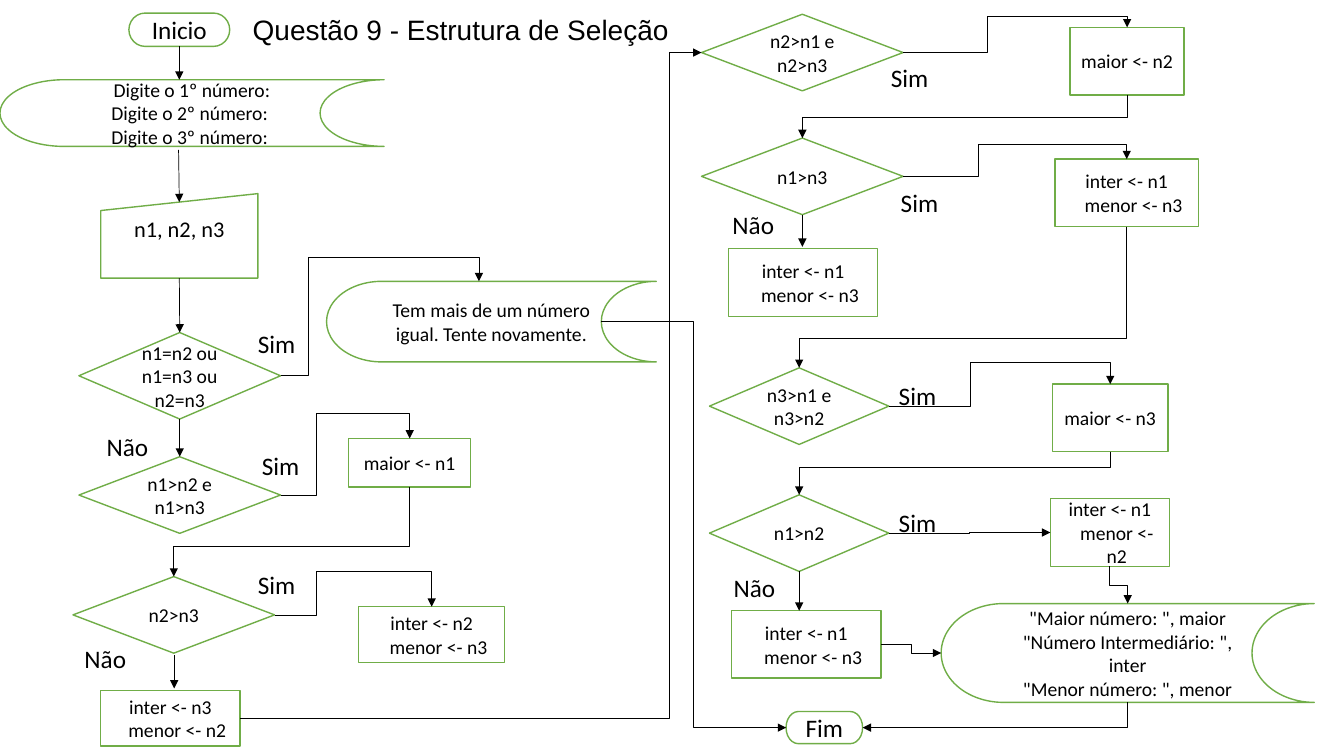
from lxml import etree
from pptx import Presentation
from pptx.dml.color import RGBColor
from pptx.enum.shapes import MSO_CONNECTOR, MSO_SHAPE
from pptx.enum.text import MSO_ANCHOR, MSO_AUTO_SIZE, PP_ALIGN
from pptx.oxml.ns import qn
from pptx.util import Cm, Pt

TERMINATOR = MSO_SHAPE.FLOWCHART_TERMINATOR
STORAGE = MSO_SHAPE.FLOWCHART_STORED_DATA
INPUT = MSO_SHAPE.FLOWCHART_MANUAL_INPUT
DECISION = MSO_SHAPE.FLOWCHART_DECISION
PROCESS = MSO_SHAPE.FLOWCHART_PROCESS
TOP, LEFT, BOTTOM, RIGHT = range(4)

GREEN, WHITE, BLACK = "70AD47", "FFFFFF", "000000"
FONT_SIZES = {TERMINATOR: 18, INPUT: 16}
SECOND_LINE_INDENT = 0.35

TITLE = ("Questão 9 - Estrutura de Seleção", 6.12, 0.2, 11.28, 1.12)
SIM_POSITIONS = [(6.25, 8.15), (6.35, 11.23), (22.2, 1.45), (22.45, 4.6),
                 (22.4, 9.47), (6.25, 14.22), (22.4, 12.65)]
NAO_POSITIONS = [(2.44, 10.74), (18.21, 5.16), (1.88, 16.08), (18.24, 14.3)]

NODES = {
    "inicio": (TERMINATOR, 3.25, 0.33, 2.54, 0.84, ["Inicio"]),
    "pedido": (STORAGE, 0, 2.01, 9.68, 1.68,
               ["Digite o 1º número:", "Digite o 2º número: ", "Digite o 3º número: "]),
    "leitura": (INPUT, 2.54, 4.88, 3.96, 2.13, ["n1, n2, n3"]),
    "iguais": (DECISION, 1.99, 8.38, 5.08, 2.18, ["n1=n2 ou n1=n3 ou n2=n3"]),
    "aviso": (STORAGE, 8.23, 7.09, 8.31, 2.03,
              ["Tem mais de um número igual. Tente novamente."]),
    "n1 é maior": (DECISION, 1.99, 11.51, 5.08, 1.93, ["n1>n2 e n1>n3"]),
    "maior n1": (PROCESS, 8.79, 11.05, 3.07, 1.22, ["maior <- n1"]),
    "n2>n3": (DECISION, 1.84, 14.53, 5.08, 1.93, ["n2>n3"]),
    "inter n2": (PROCESS, 9.04, 15.29, 3.68, 1.4, ["inter <- n2", "menor <- n3"]),
    "inter n3": (PROCESS, 2.54, 17.4, 3.51, 1.4, ["inter <- n3", "menor <- n2"]),
    "n2 é maior": (DECISION, 17.68, 0.36, 5.08, 1.93, ["n2>n1 e n2>n3"]),
    "maior n2": (PROCESS, 26.97, 0.69, 2.87, 1.7, ["maior <- n2"]),
    "n1>n3": (DECISION, 17.68, 3.48, 5.08, 1.93, ["n1>n3"]),
    "n1>n3 sim": (PROCESS, 26.59, 4.01, 3.61, 1.7, ["inter <- n1", "menor <- n3"]),
    "n1>n3 não": (PROCESS, 18.36, 6.27, 3.76, 1.7, ["inter <- n1", "menor <- n3"]),
    "n3 é maior": (DECISION, 17.88, 9.27, 4.52, 1.93, ["n3>n1 e n3>n2"]),
    "maior n3": (PROCESS, 26.52, 9.68, 2.92, 1.7, ["maior <- n3"]),
    "n1>n2": (DECISION, 17.88, 12.47, 4.52, 1.93, ["n1>n2"]),
    "n1>n2 sim": (PROCESS, 26.47, 12.57, 3, 1.7, ["inter <- n1", "menor <- n2"]),
    "n1>n2 não": (PROCESS, 18.44, 15.39, 3.76, 1.7, ["inter <- n1", "menor <- n3"]),
    "resultado": (STORAGE, 23.72, 15.21, 9.4, 2.49,
                  ['"Maior número: ", maior', '"Número Intermediário: ", inter',
                   '"Menor número: ", menor']),
    "fim": (TERMINATOR, 19.81, 17.93, 1.93, 0.81, ["Fim"]),
}

STRAIGHT = [
    (("inicio", BOTTOM), (4.52, 2.01)),
    ((4.5, 3.78), ("leitura", TOP)),
    (("leitura", BOTTOM), ("iguais", TOP)),
    (("iguais", BOTTOM), ("n1 é maior", TOP)),
    ((4.39, 16.51), (4.39, 17.35)),
    (("n1>n3", BOTTOM), (20.22, 6.22)),
    (("n1>n2", BOTTOM), (20.14, 15.39)),
]
SIDE_TO_TOP = [
    ("iguais", (12.07, 7.09), 7.77, 6.48),
    ("n1 é maior", ("maior n1", TOP), 7.98, 10.41),
    ("n2>n3", ("inter n2", TOP), 7.98, 14.4),
    ("n2 é maior", ("maior n2", TOP), 24.87, 0.41),
    ("n1>n3", ("n1>n3 sim", TOP), 24.66, 3.63),
    ("n3 é maior", ("maior n3", TOP), 24.46, 9.14),
]
SIDE_TO_SIDE = [
    ("aviso", "fim", 17.48),
    ("inter n3", "n2 é maior", 16.87),
    ("n1>n2", "n1>n2 sim", 24.43),
    ("n1>n2 não", "resultado", 22.96),
]
BOTTOM_TO_TOP = [
    ("maior n1", "n2>n3", 13.77),
    ("maior n2", "n1>n3", 2.95),
    ("n1>n3 sim", "n3 é maior", 8.53),
    ("maior n3", "n1>n2", 11.79),
    ("n1>n2 sim", "resultado", 14.76),
]


def color(value):
    return RGBColor.from_string(value)


def write(paragraph, text, size, font="Calibri"):
    paragraph.text = text
    for run in paragraph.runs:
        run.font.name = font
        run.font.size = Pt(size)
        run.font.color.rgb = color(BLACK)


def add_node(slide, kind, left, top, width, height, lines):
    shape = slide.shapes.add_shape(kind, Cm(left), Cm(top), Cm(width), Cm(height))
    shape.shadow.inherit = False
    shape.fill.solid()
    shape.fill.fore_color.rgb = color(WHITE)
    shape.line.color.rgb = color(GREEN)
    shape.line.width = Pt(1)
    frame = shape.text_frame
    frame.word_wrap = True
    frame.vertical_anchor = MSO_ANCHOR.MIDDLE
    if kind == INPUT:
        frame.margin_bottom = Cm(0.9)
    frame.text = "\n".join(lines)
    for paragraph, line in zip(frame.paragraphs, lines):
        write(paragraph, line, FONT_SIZES.get(kind, 14))
        paragraph.alignment = PP_ALIGN.CENTER
    if kind == PROCESS and len(lines) == 2:
        frame.paragraphs[1]._p.get_or_add_pPr().set("marL", str(Cm(SECOND_LINE_INDENT)))
    return shape


def add_label(slide, text, left, top, width, height, size=18, font="Calibri"):
    box = slide.shapes.add_textbox(Cm(left), Cm(top), Cm(width), Cm(height))
    box.text_frame.word_wrap = False
    box.text_frame.auto_size = MSO_AUTO_SIZE.SHAPE_TO_FIT_TEXT
    write(box.text_frame.paragraphs[0], text, size, font)


def locate(end):
    name, site = end
    if name not in NODES:
        return end
    kind, left, top, width, height, _ = NODES[name]
    right = left + width * (5 / 6 if kind == STORAGE else 1)
    upper = top + (height / 10 if kind == INPUT else 0)
    return {TOP: (left + width / 2, upper), LEFT: (left, top + height / 2),
            BOTTOM: (left + width / 2, top + height),
            RIGHT: (right, top + height / 2)}[site]


def add_arrow(slide, shapes, begin, end, preset="line", bend_x=None, bend_y=None):
    (x0, y0), (x1, y1) = locate(begin), locate(end)
    kind = MSO_CONNECTOR.STRAIGHT if preset == "line" else MSO_CONNECTOR.ELBOW
    connector = slide.shapes.add_connector(kind, Cm(x0), Cm(y0), Cm(x1), Cm(y1))
    if begin[0] in shapes:
        connector.begin_connect(shapes[begin[0]], begin[1])
    if end[0] in shapes:
        connector.end_connect(shapes[end[0]], end[1])
    connector.line.color.rgb = color(BLACK)
    connector.line.width = Pt(0.5)

    width, height = abs(x1 - x0), abs(y1 - y0)
    turned = preset != "line" and begin[1] == BOTTOM
    if turned:
        width, height = height, width
    connector.left, connector.top = Cm((x0 + x1 - width) / 2), Cm((y0 + y1 - height) / 2)
    connector.width, connector.height = Cm(width), Cm(height)
    properties = connector._element.spPr
    frame = properties.find(qn("a:xfrm"))
    rightward = x1 > x0
    frame.set("rot", str((270 if rightward else 90) * 60000 if turned else 0))
    frame.set("flipH", str(int(rightward if turned else x1 < x0)))
    frame.set("flipV", str(int(not turned and y1 < y0)))

    geometry = properties.find(qn("a:prstGeom"))
    geometry.set("prst", preset)
    ratios = []
    if bend_x is not None:
        ratios.append((bend_x - x0) / (x1 - x0))
    if bend_y is not None:
        ratios.append((bend_y - y0) / (y1 - y0))
    guides = geometry.get_or_add_avLst()
    for number, ratio in enumerate(ratios, 1):
        etree.SubElement(guides, qn("a:gd"), name=f"adj{number}",
                         fmla=f"val {round(ratio * 100000)}")
    etree.SubElement(properties.find(qn("a:ln")), qn("a:tailEnd"), type="triangle")
    etree.SubElement(properties, qn("a:effectLst"))


def main():
    presentation = Presentation()
    presentation.slide_width, presentation.slide_height = Cm(33.87), Cm(19.05)
    slide = presentation.slides.add_slide(presentation.slide_layouts[6])
    shapes = {name: add_node(slide, *node) for name, node in NODES.items()}

    for begin, end in STRAIGHT:
        add_arrow(slide, shapes, begin, end)
    for name, end, bend_x, bend_y in SIDE_TO_TOP:
        add_arrow(slide, shapes, (name, RIGHT), end, "bentConnector4", bend_x, bend_y)
    for name, target, bend_x in SIDE_TO_SIDE:
        add_arrow(slide, shapes, (name, RIGHT), (target, LEFT), "bentConnector3", bend_x)
    for name, target, bend_y in BOTTOM_TO_TOP:
        add_arrow(slide, shapes, (name, BOTTOM), (target, TOP), "bentConnector3", None, bend_y)
    add_arrow(slide, shapes, ("resultado", BOTTOM), ("fim", RIGHT), "bentConnector2")

    add_label(slide, *TITLE, size=20, font="Arial")
    for text, width, positions in [("Sim", 1.47, SIM_POSITIONS), ("Não", 1.57, NAO_POSITIONS)]:
        for left, top in positions:
            add_label(slide, text, left, top, width, 1.02)
    presentation.save("out.pptx")


if __name__ == "__main__":
    main()
